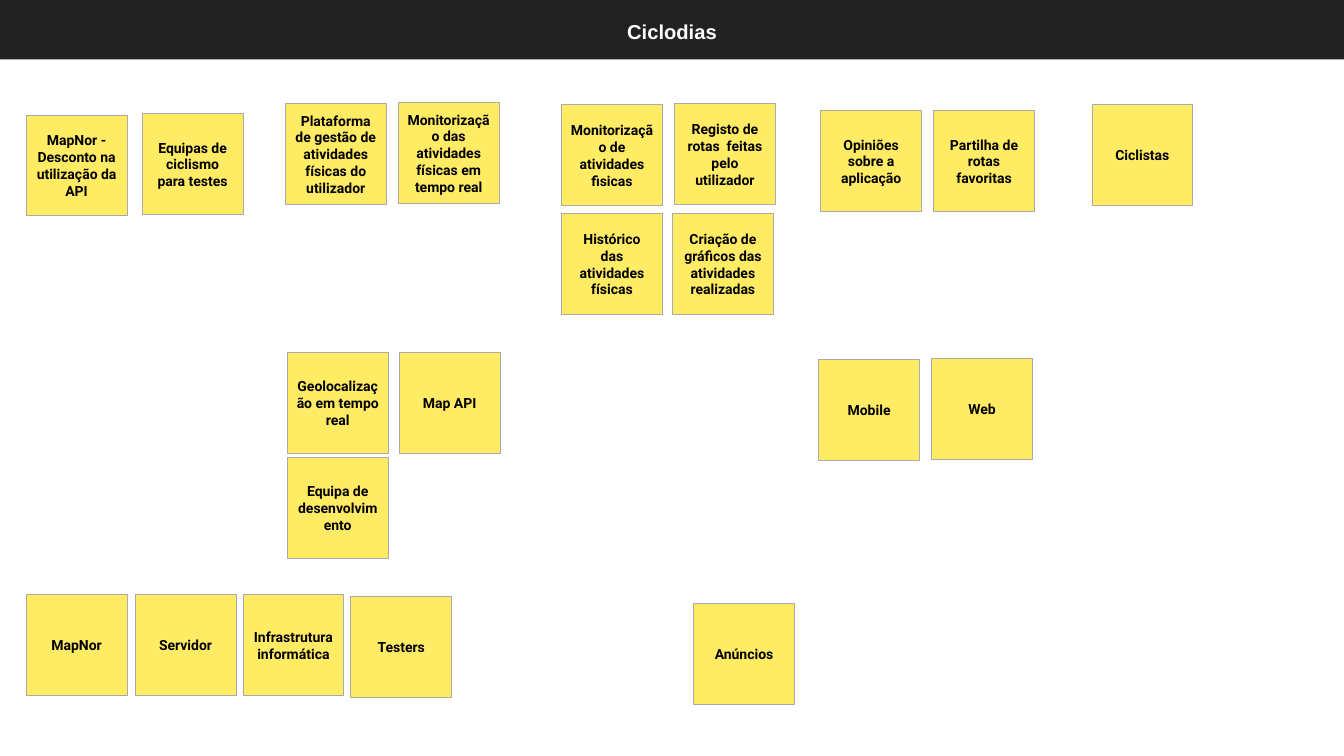
from dataclasses import dataclass

from pptx import Presentation
from pptx.dml.color import RGBColor
from pptx.enum.shapes import MSO_SHAPE
from pptx.enum.text import MSO_ANCHOR, PP_ALIGN
from pptx.util import Inches, Pt


@dataclass(frozen=True)
class Theme:
    bar: RGBColor = RGBColor(0x22, 0x22, 0x22)
    title_text: RGBColor = RGBColor(0xFF, 0xFF, 0xFF)
    note: RGBColor = RGBColor(0xFF, 0xEB, 0x64)
    note_border: RGBColor = RGBColor(0xAA, 0xAA, 0xAA)
    note_text: RGBColor = RGBColor(0x00, 0x00, 0x00)
    title_font: str = "Arial"
    note_font: str = "Roboto"
    title_size: float = 14.4
    note_size: float = 10
    border_width: float = 0.5


THEME = Theme()
SLIDE_WIDTH, SLIDE_HEIGHT = 13.33, 7.5
BAR_HEIGHT = 0.59
NOTE_SIDE = 1
NOTE_INSET = 0.09

# Each canvas block holds its notes as (left, top, text).
CANVAS = {
    "partners": [
        (0.26, 1.14, "MapNor - Desconto na utilização da API"),
        (1.41, 1.13, "Equipas de ciclismo para testes"),
    ],
    "activities": [
        (2.83, 1.03, "Plataforma de gestão de atividades físicas do utilizador"),
        (3.95, 1.02, "Monitorização das atividades físicas em tempo real"),
    ],
    "resources": [
        (2.85, 3.5, "Geolocalização em tempo real"),
        (3.96, 3.5, "Map API"),
        (2.85, 4.54, "Equipa de desenvolvimento"),
    ],
    "value propositions": [
        (5.57, 1.04, "Monitorização de atividades fisicas"),
        (6.69, 1.03, "Registo de rotas  feitas pelo utilizador"),
        (5.57, 2.12, "Histórico das atividades físicas"),
        (6.67, 2.12, "Criação de gráficos das atividades realizadas"),
    ],
    "relationships": [
        (8.14, 1.1, "Opiniões sobre a aplicação"),
        (9.26, 1.1, "Partilha de rotas favoritas"),
    ],
    "channels": [
        (8.12, 3.57, "Mobile"),
        (9.24, 3.56, "Web"),
    ],
    "customers": [
        (10.83, 1.04, "Ciclistas"),
    ],
    "costs": [
        (0.26, 5.9, "MapNor"),
        (1.34, 5.9, "Servidor"),
        (2.41, 5.9, "Infrastrutura informática"),
        (3.48, 5.92, "Testers"),
    ],
    "revenue": [
        (6.88, 5.99, "Anúncios"),
    ],
}


def add_box(slide, left, top, width, height, fill):
    box = slide.shapes.add_shape(
        MSO_SHAPE.RECTANGLE, Inches(left), Inches(top), Inches(width), Inches(height)
    )
    box.shadow.inherit = False
    box.fill.solid()
    box.fill.fore_color.rgb = fill
    return box


def write_centred(frame, text, font_name, size, color, inset):
    """Fill a text frame with one bold paragraph, centred both ways."""
    frame.text = text
    frame.word_wrap = True
    frame.vertical_anchor = MSO_ANCHOR.MIDDLE
    frame.margin_left = frame.margin_right = Inches(inset)
    frame.margin_top = frame.margin_bottom = Inches(0)
    paragraph = frame.paragraphs[0]
    paragraph.alignment = PP_ALIGN.CENTER
    font = paragraph.runs[0].font
    font.name = font_name
    font.size = Pt(size)
    font.bold = True
    font.color.rgb = color


def add_title_bar(slide, text):
    """Put the title on a dark band, with the band behind it."""
    title = slide.shapes.title
    title.left, title.top = Inches(2.74), Inches(0.14)
    title.width, title.height = Inches(7.85), Inches(0.34)
    write_centred(
        title.text_frame, text, THEME.title_font, THEME.title_size, THEME.title_text, 0
    )
    bar = add_box(slide, 0, 0, SLIDE_WIDTH, BAR_HEIGHT, THEME.bar)
    bar.line.fill.background()
    title.element.addprevious(bar.element)


def add_note(slide, left, top, text):
    note = add_box(slide, left, top, NOTE_SIDE, NOTE_SIDE, THEME.note)
    note.line.color.rgb = THEME.note_border
    note.line.width = Pt(THEME.border_width)
    write_centred(
        note.text_frame, text, THEME.note_font, THEME.note_size, THEME.note_text, NOTE_INSET
    )


def main():
    presentation = Presentation()
    presentation.slide_width = Inches(SLIDE_WIDTH)
    presentation.slide_height = Inches(SLIDE_HEIGHT)
    title_only = presentation.slide_layouts[5]
    slide = presentation.slides.add_slide(title_only)

    add_title_bar(slide, "Ciclodias")
    for notes in CANVAS.values():
        for left, top, text in notes:
            add_note(slide, left, top, text)

    presentation.save("out.pptx")


if __name__ == "__main__":
    main()
